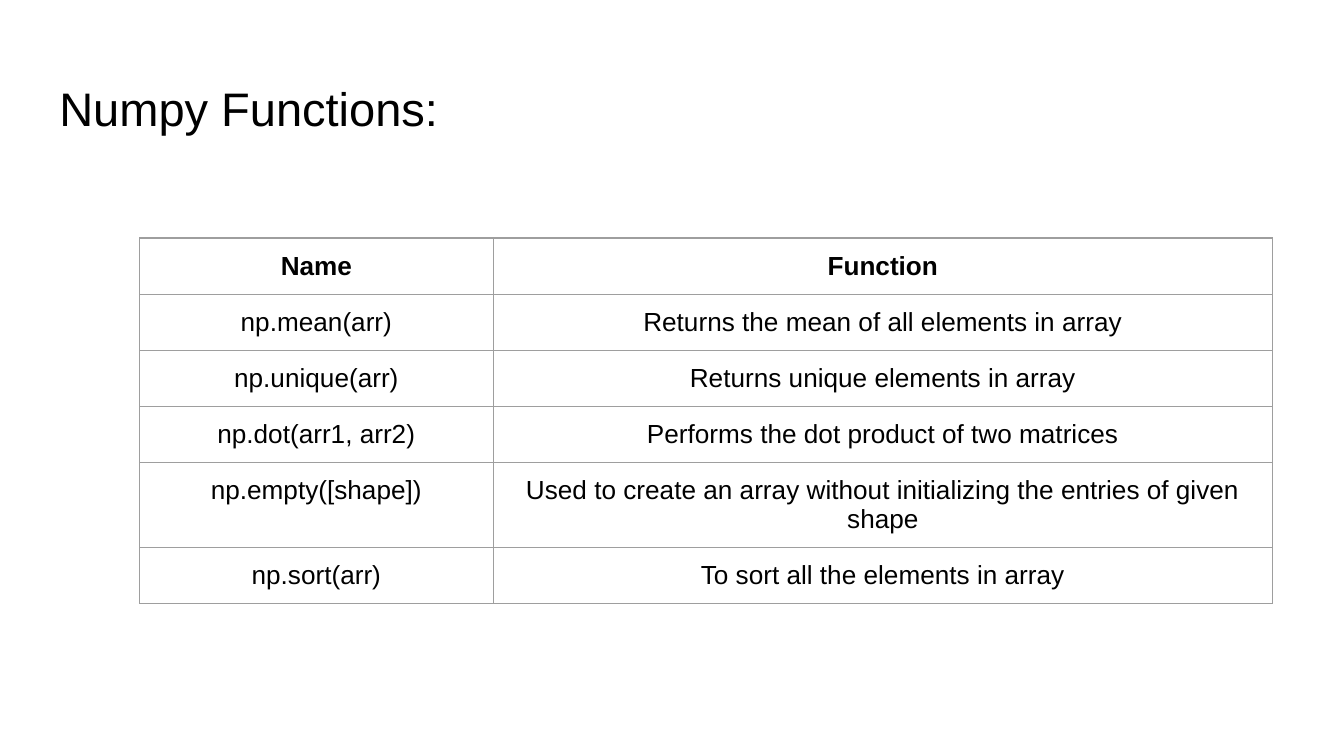
from lxml import etree
from pptx import Presentation
from pptx.dml.color import RGBColor
from pptx.enum.text import MSO_ANCHOR, PP_ALIGN
from pptx.oxml.ns import qn
from pptx.util import Cm, Pt

BLACK = RGBColor(0x00, 0x00, 0x00)
GREY = RGBColor(0x9E, 0x9E, 0x9E)
LEFT, CENTER = PP_ALIGN.LEFT, PP_ALIGN.CENTER
TOP, MIDDLE = MSO_ANCHOR.TOP, MSO_ANCHOR.MIDDLE
INSET = Cm(0.25)

ROWS = [
    ("Name", "Function"),
    ("np.mean(arr)", "Returns the mean of all elements in array"),
    ("np.unique(arr)", "Returns unique elements in array"),
    ("np.dot(arr1, arr2)", "Performs the dot product of two matrices"),
    ("np.empty([shape])",
     "Used to create an array without initializing the entries of given shape"),
    ("np.sort(arr)", "To sort all the elements in array"),
]


def write(frame, text, size=14, bold=False, align=CENTER, font="Arial", color=BLACK):
    para = frame.paragraphs[0]
    para.alignment = align
    run = para.add_run()
    run.text = text
    run.font.name = font
    run.font.size = Pt(size)
    run.font.bold = bold
    run.font.color.rgb = color


def inset(item):
    """Give a cell or text frame the same margin on all sides."""
    item.margin_left = item.margin_right = INSET
    item.margin_top = item.margin_bottom = INSET


def border(cell, color=GREY, width=0.75):
    props = cell._tc.get_or_add_tcPr()
    for side in ("lnL", "lnR", "lnT", "lnB"):
        line = etree.SubElement(props, qn(f"a:{side}"), w=str(Pt(width)))
        fill = etree.SubElement(line, qn("a:solidFill"))
        etree.SubElement(fill, qn("a:srgbClr"), val=str(color))


class Deck:
    def __init__(self, width, height):
        self.prs = Presentation()
        self.prs.slide_width, self.prs.slide_height = width, height
        self.slide = self.prs.slides.add_slide(self.prs.slide_layouts[5])

    def title(self, text, left, top, width, height):
        shape = self.slide.shapes.title
        shape.left, shape.top = left, top
        shape.width, shape.height = width, height
        frame = shape.text_frame
        frame.word_wrap = True
        frame.vertical_anchor = MIDDLE
        inset(frame)
        write(frame, text, size=25.2, align=LEFT)

    def table(self, rows, left, top, widths, height):
        """Draw a bordered grid whose first row is bold."""
        shape = self.slide.shapes.add_table(
            len(rows), len(widths), left, top, sum(widths), height * len(rows))
        table = shape.table
        table.first_row = table.horz_banding = False
        for col, width in zip(table.columns, widths):
            col.width = width
        for r, row in enumerate(rows):
            for c, text in enumerate(row):
                cell = table.cell(r, c)
                inset(cell)
                cell.vertical_anchor = TOP
                border(cell)
                cell.fill.background()
                write(cell.text_frame, text, bold=r == 0)

    def save(self):
        self.prs.save("out.pptx")


def main():
    deck = Deck(Cm(25.4), Cm(14.29))
    deck.title("Numpy Functions:", Cm(0.87), Cm(1.24), Cm(23.67), Cm(1.6))
    deck.table(ROWS, Cm(2.64), Cm(4.5), [Cm(6.68), Cm(14.73)], Cm(1.06))
    deck.save()


if __name__ == "__main__":
    main()
